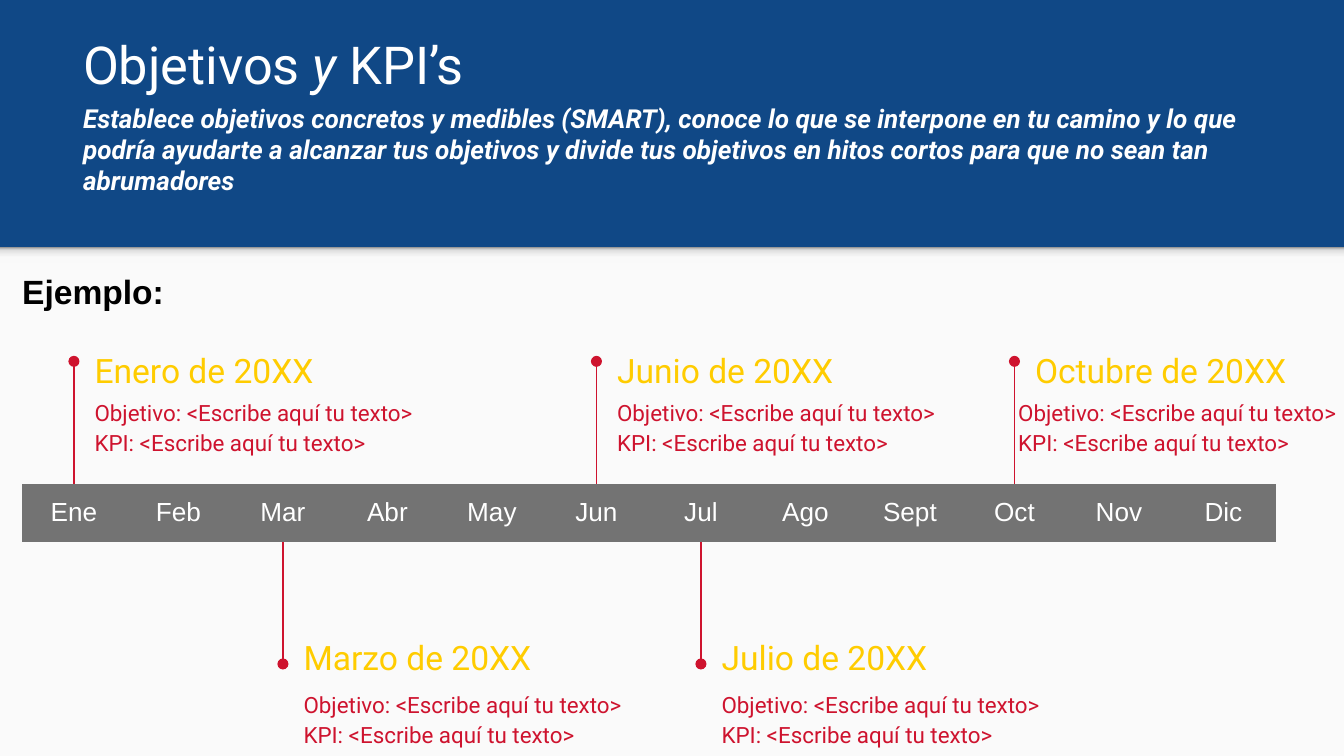
from lxml import etree
from pptx import Presentation
from pptx.dml.color import RGBColor as RGB
from pptx.enum.shapes import MSO_CONNECTOR as Line, MSO_SHAPE as Shape
from pptx.enum.text import MSO_ANCHOR as Anchor, MSO_AUTO_SIZE as Fit, PP_ALIGN as Align
from pptx.oxml.ns import qn
from pptx.util import Cm, Pt

HEX = {"blue": "104886", "paper": "FAFAFA", "white": "FFFFFF", "black": "000000",
       "gold": "FFCC00", "red": "CE132E", "gray": "737373"}
SHADE = [(0, "F9F9F9"), (36, "F9F9F9"), (80, "DEDEDE"), (100, "999999")]
MONTHS = ["Ene", "Feb", "Mar", "Abr", "May", "Jun",
          "Jul", "Ago", "Sept", "Oct", "Nov", "Dic"]
# month index, heading, hangs below the bar, shift of the body text
GOALS = [(0, "Enero de 20XX", False, 0.14), (2, "Marzo de 20XX", True, 0.14),
         (5, "Junio de 20XX", False, 0.14), (6, "Julio de 20XX", True, 0.14),
         (9, "Octubre de 20XX", False, -0.18)]
INTRO = ("Establece objetivos concretos y medibles (SMART), conoce lo que se interpone "
         "en tu camino y lo que podría ayudarte a alcanzar tus objetivos y divide tus "
         "objetivos en hitos cortos para que no sean tan abrumadores")
BODY = "Objetivo: <Escribe aquí tu texto> KPI: <Escribe aquí tu texto>"
PAD = 0.25
NO_GRID = "{2D5ABB26-0587-4C30-8999-92F81FD0307C}"


def color(key):
    return RGB.from_string(HEX[key])


def style(run, size, key, face="Roboto", bold=False, italic=False):
    font = run.font
    font.size, font.name = Pt(size), face
    font.bold, font.italic = bold, italic
    font.color.rgb = color(key)


def inset(frame, pad=PAD):
    frame.margin_left = frame.margin_right = Cm(pad)
    frame.margin_top = frame.margin_bottom = Cm(pad)


def label(slide, box, text, size, key, face="Roboto", bold=False):
    frame = slide.shapes.add_textbox(*map(Cm, box)).text_frame
    frame.word_wrap = True
    inset(frame)
    frame.text = text
    style(frame.paragraphs[0].runs[0], size, key, face, bold)
    return frame


def add_panel(slide, x, y, w, h):
    """Light lower area with a soft shade along its top edge."""
    for high in (h, 0.3):
        rect = slide.shapes.add_shape(Shape.RECTANGLE, Cm(x), Cm(y), Cm(w), Cm(high))
        rect.shadow.inherit = False
        rect.line.fill.background()
        rect.fill.solid()
        rect.fill.fore_color.rgb = color("paper")
    rect.fill.gradient()
    rect.fill.gradient_angle = 90
    stops = rect._element.spPr.find(".//" + qn("a:gsLst"))
    for old in list(stops):
        stops.remove(old)
    for pos, tone in SHADE:
        stop = etree.SubElement(stops, qn("a:gs"), pos=str(pos * 1000))
        etree.SubElement(stop, qn("a:srgbClr"), val=tone)


def add_title(slide, x, y, w, h):
    title = slide.shapes.title
    title.left, title.top, title.width, title.height = map(Cm, (x, y, w, h))
    frame = title.text_frame
    frame.auto_size, frame.word_wrap = Fit.NONE, True
    frame.vertical_anchor = Anchor.BOTTOM
    inset(frame)
    head, intro = frame.paragraphs[0], frame.add_paragraph()
    for text, slant in (("Objetivos", False), (" y ", True), ("KPI’s", False)):
        run = head.add_run()
        run.text = text
        style(run, 28, "white", italic=slant)
    intro.text = INTRO
    style(intro.runs[0], 14, "white", bold=True, italic=True)
    intro.space_before = intro.space_after = Pt(4)
    head.alignment = intro.alignment = Align.LEFT


def add_bar(slide, x, y, w, h):
    """Row of months."""
    table = slide.shapes.add_table(1, len(MONTHS), Cm(x), Cm(y), Cm(w), Cm(h)).table
    table.first_row = table.horz_banding = False
    table._tbl.tblPr.find(qn("a:tableStyleId")).text = NO_GRID
    for cell, month in zip(table.rows[0].cells, MONTHS):
        inset(cell)
        cell.fill.solid()
        cell.fill.fore_color.rgb = color("gray")
        cell.text = month
        para = cell.text_frame.paragraphs[0]
        para.alignment = Align.CENTER
        style(para.runs[0], 14, "white", "Arial")


def add_goal(slide, x, y, below, head, shift):
    """Stem from the bar edge at (x, y) to a dot, with its texts."""
    tip, top, low = (2.33, 1.65, 2.51) if below else (-2.32, -2.7, -1.94)
    stem = slide.shapes.add_connector(Line.STRAIGHT, Cm(x), Cm(y), Cm(x), Cm(y + tip))
    stem.line.color.rgb = color("red")
    stem.line.width = Pt(0.75)
    etree.SubElement(stem.line._get_or_add_ln(), qn("a:tailEnd"), type="oval")
    etree.SubElement(stem._element.spPr, qn("a:effectLst"))
    frame = label(slide, (x + 0.14, y + top, 5.9, 1.1), head, 18, "gold")
    frame.vertical_anchor = Anchor.MIDDLE
    frame = label(slide, (x + shift, y + low, 6.65, 1.6), BODY, 12, "red")
    para = frame.paragraphs[0]
    para.line_spacing, para.space_after = 1.15, Pt(16)


def add_plan(slide, x, y, w, h):
    """Month bar with goals above and below it."""
    step = w / len(MONTHS)
    for month, head, below, shift in GOALS:
        edge = y + h if below else y
        add_goal(slide, x + step * (month + 0.5), edge, below, head, shift)
    add_bar(slide, x, y, w, h)


def main():
    deck = Presentation()
    deck.slide_width, deck.slide_height = Cm(25.4), Cm(14.29)
    slide = deck.slides.add_slide(deck.slide_layouts[5])
    slide.background.fill.solid()
    slide.background.fill.fore_color.rgb = color("blue")
    add_panel(slide, 0, 4.67, 25.4, 9.62)
    add_title(slide, 1.32, 1.83, 22.83, 2.13)
    add_plan(slide, 0.41, 9.15, 23.7, 1.07)
    label(slide, (0.17, 4.88, 13, 1.02), "Ejemplo:", 18, "black", "Arial", True)
    deck.save("out.pptx")


if __name__ == "__main__":
    main()
